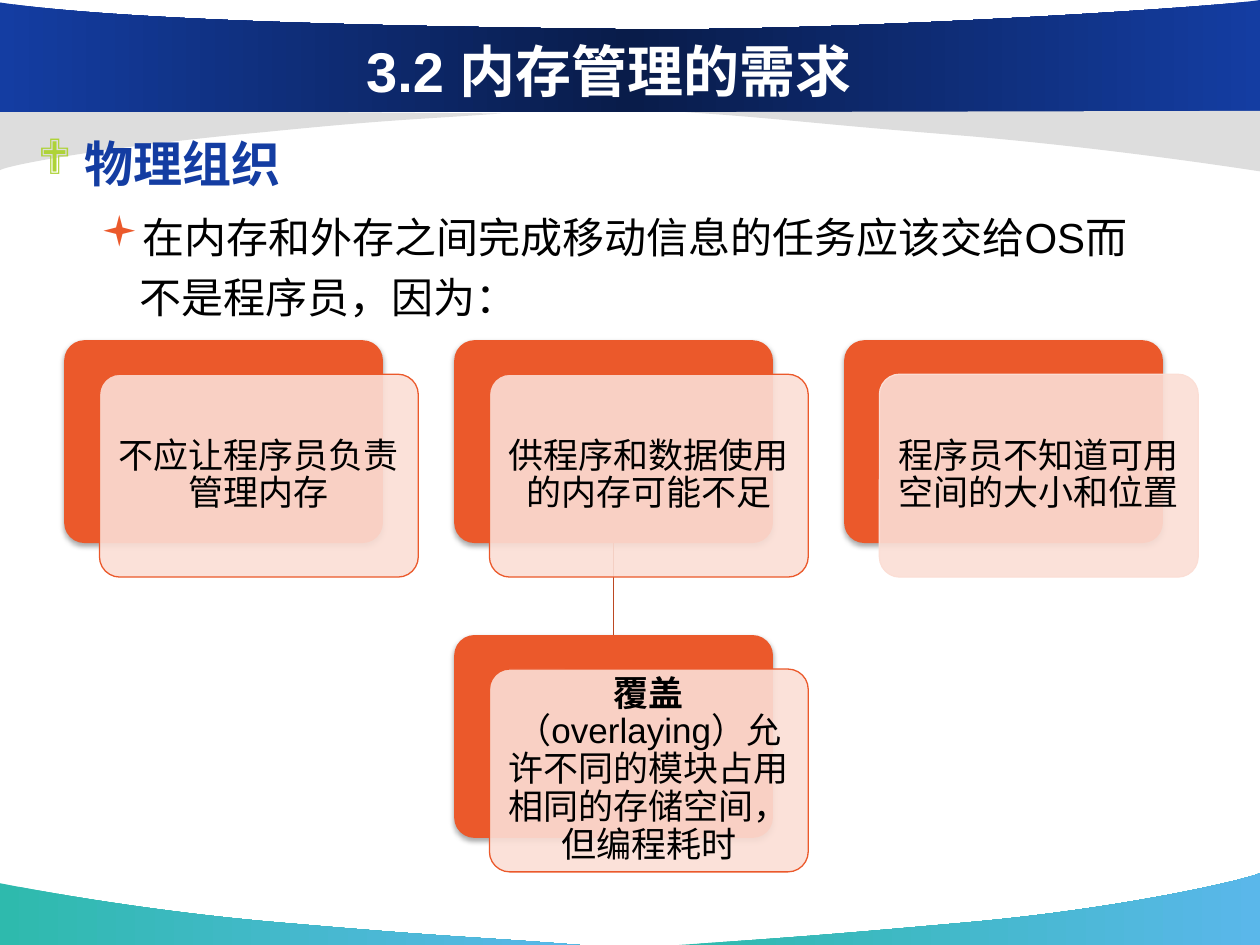
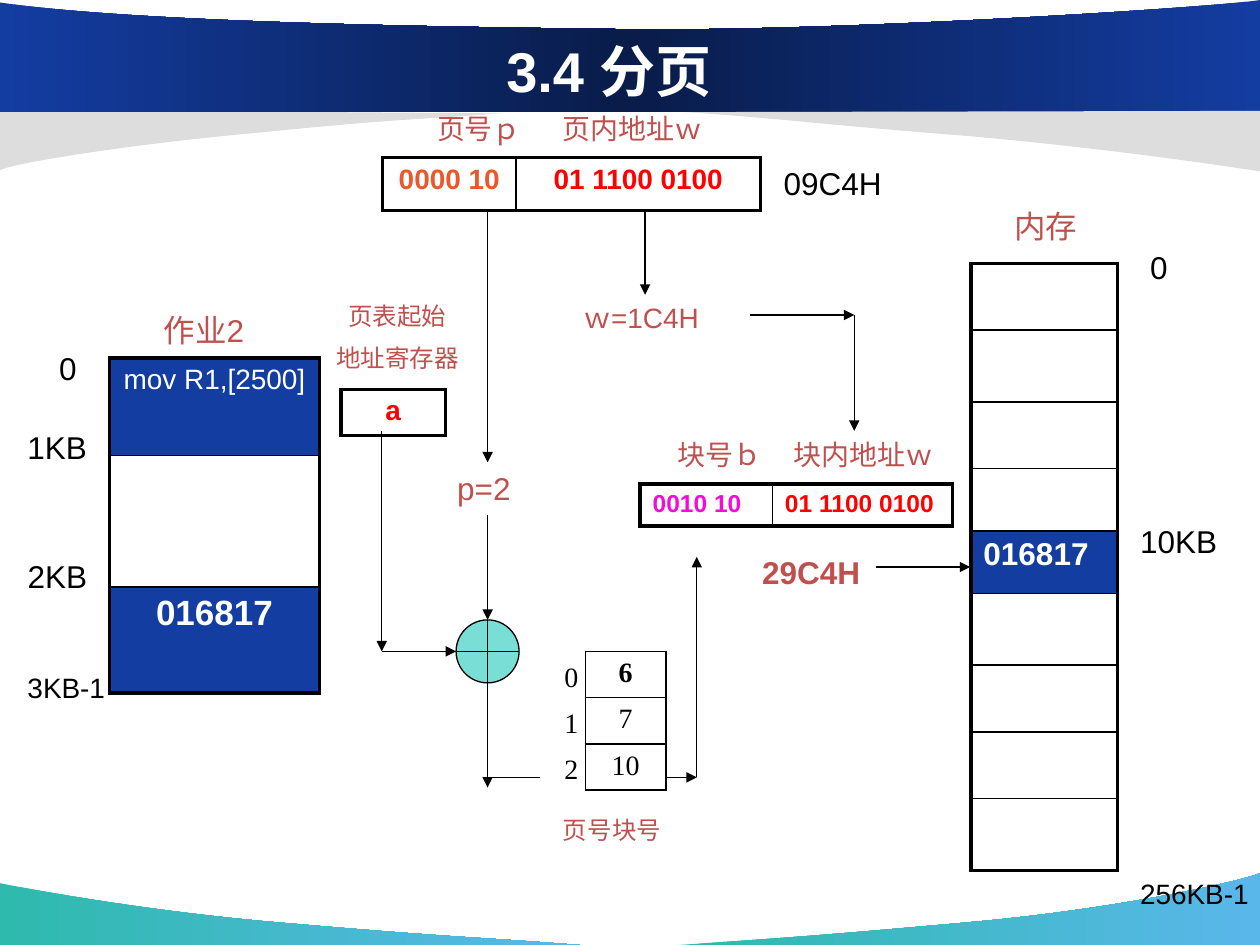
"""Build two slides on memory management: physical organisation and paging."""
import lxml.etree
import pptx
import pptx.dml.color
import pptx.enum.shapes
import pptx.enum.text
import pptx.oxml.ns
import pptx.util

WIDE, HIGH = pptx.util.Inches(10), pptx.util.Inches(7.5)
CELL = WIDE // 100
HUES = {
    "navy": "143DA2", "deep": "091C4A", "teal": "2EBAAD", "sky": "5AB7EA",
    "grey": "DDDDDD", "white": "FFFFFF", "black": "000000", "lime": "AED337",
    "fire": "EB592B", "peach": "FBDED5", "rust": "BC4722", "brick": "C0504D",
    "red": "FF0000", "pink": "F30BD7", "mint": "79DED5",
}
SHAPES = pptx.enum.shapes.MSO_SHAPE
ALIGN = pptx.enum.text.PP_ALIGN
ANCHOR = pptx.enum.text.MSO_ANCHOR
THICK, THIN = 2.25, 1

BANDS = [
    (["teal", "sky"], [(46, 75), (38.4, 74.4, 35.8, 74.4, 23.2, 73.3),
                       (10.6, 72.3, 0.1, 70.1, 0, 70.1), (0, 75)]),
    (["teal", "sky"], [(53.9, 75), (61.4, 74.5, 64.6, 74.3, 76.9, 73.2),
                       (89.2, 72.1, 99, 69.8, 100, 69.3), (100, 75)]),
    (["grey"], [(39.8, 9), (33.1, 9.5, 31.8, 9.4, 20.8, 10.5),
                (9.7, 11.5, 0.9, 13, 0, 13.5), (0, 8.7)]),
    (["navy", "deep", "navy"], [(0, 8.9), (100, 8.9), (100, 0),
                                (96.4, 0.6, 65.3, 2.6, 48.7, 2.3),
                                (32.1, 2.1, 10.1, 1.7, 0, 0.2)]),
    (["grey"], [(54.4, 8.9), (62, 9.4, 64.2, 9.8, 76.8, 10.8),
                (89.4, 11.9, 99.9, 13.6, 100, 13.6), (100, 8.8)]),
]


def grid(*units):
    """Turn grid units into slide lengths."""
    return [round(unit * CELL) for unit in units]


def rgb(hue):
    """Give the named colour."""
    return pptx.dml.color.RGBColor.from_string(HUES[hue])


def sub(node, tag, **attrs):
    """Add a drawing element under a node."""
    return lxml.etree.SubElement(node, pptx.oxml.ns.qn("a:" + tag), attrs)


def tint(node, hue, alpha=None):
    """Add a colour, perhaps a clear one, under a node."""
    clr = sub(node, "srgbClr", val=HUES[hue])
    if alpha:
        sub(clr, "alpha", val=str(alpha * 1000))


def find(shape, tag):
    """Find a drawing element in a shape's properties."""
    return shape._element.spPr.find(".//" + pptx.oxml.ns.qn("a:" + tag))


def paint(shape, hues):
    """Fill a shape with one colour or a left-to-right blend."""
    if len(hues) == 1:
        shape.fill.solid()
        shape.fill.fore_color.rgb = rgb(hues[0])
        return
    shape.fill.gradient()
    shape.fill.gradient_angle = 0
    stops = find(shape, "gsLst")
    for stop in list(stops):
        stops.remove(stop)
    for i, hue in enumerate(hues):
        tint(sub(stops, "gs", pos=str(100000 * i // (len(hues) - 1))), hue)


def outline(slide, steps):
    """Draw a closed outline of corners and cubic curves."""
    ends = [grid(*step[-2:]) for step in steps]
    pen = slide.shapes.build_freeform(*ends[0])
    pen.add_line_segments(ends[1:], close=True)
    shape = pen.convert_to_shape()
    route = find(shape, "path")
    for part, step in zip(list(route), steps):
        if len(step) == 6:
            curve = sub(route, "cubicBezTo")
            for k in (0, 2, 4):
                x, y = grid(*step[k:k + 2])
                sub(curve, "pt", x=str(x - shape.left), y=str(y - shape.top))
            route.replace(part, curve)
    return shape


def dress(slide):
    """Put the bands on the layout that the slides share."""
    layout = slide.slide_layout
    for holder in list(layout.placeholders):
        layout.shapes._spTree.remove(holder._element)
    for hues, steps in BANDS:
        band = outline(slide, steps)
        band.shadow.inherit = False
        band.line.fill.background()
        paint(band, hues)
        layout.shapes._spTree.append(band._element)


def write(para, text, size, hue, bold=False, font="Arial"):
    """Add one run to a paragraph."""
    run = para.add_run()
    run.text = text
    run.font.size, run.font.bold, run.font.name = pptx.util.Pt(size), bold, font
    run.font.color.rgb = rgb(hue)


def label(slide, col, row, width, text, size, hue="brick", bold=False, align=ALIGN.LEFT):
    """Place a caption, one paragraph a line."""
    frame = slide.shapes.add_textbox(*grid(col, row, width, 4)).text_frame
    frame.word_wrap = True
    for i, line in enumerate(text.split("\n")):
        para = frame.add_paragraph() if i else frame.paragraphs[0]
        para.alignment = align
        if i:
            para.space_before = pptx.util.Pt(size / 2)
        write(para, line, size, hue, bold)


def start(deck, title):
    """Add a slide with its title."""
    slide = deck.slides.add_slide(deck.slide_layouts[6])
    frame = slide.shapes.add_textbox(*grid(9.2, 2.5, 78.3, 6.2)).text_frame
    frame.word_wrap, frame.vertical_anchor = True, ANCHOR.MIDDLE
    frame.paragraphs[0].alignment = ALIGN.CENTER
    write(frame.paragraphs[0], title, 32, "white", True)
    return slide


def point(para, text, size, hue, mark, dot, indent, hang, bold=False):
    """Write a bulleted paragraph with a coloured mark."""
    para.line_spacing = 1.2
    para.space_before = pptx.util.Pt(size / 5)
    props = para._p.get_or_add_pPr()
    props.set("marL", str(grid(indent)[0]))
    props.set("indent", str(grid(-hang)[0]))
    tint(sub(props, "buClr"), dot)
    sub(props, "buFont", typeface="Wingdings", charset="2")
    sub(props, "buChar", char=mark)
    write(para, text, size, hue, bold)


def plate(slide, col, row):
    """Draw a rounded plate."""
    shape = slide.shapes.add_shape(SHAPES.ROUNDED_RECTANGLE, *grid(col, row, 25.3, 16.1))
    shape.adjustments[0] = 0.1
    shape.shadow.inherit = False
    return shape


def back(slide, col, row):
    """Draw the solid plate behind a card."""
    shape = plate(slide, col, row)
    paint(shape, ["fire"])
    shape.line.fill.background()
    shade = sub(find(shape, "effectLst"), "outerShdw", blurRad=str(pptx.util.Pt(3.1)),
                dist=str(pptx.util.Pt(1.8)), dir="5400000", rotWithShape="0")
    tint(shade, "black", 35)
    return shape


def front(slide, col, row, runs, rim):
    """Draw the clear plate of a card with its text."""
    shape = plate(slide, col + 2.8, row + 2.7)
    paint(shape, ["peach"])
    sub(find(shape, "srgbClr"), "alpha", val="90000")
    shape.line.color.rgb, shape.line.width = rgb(rim), pptx.util.Pt(0.75)
    frame = shape.text_frame
    frame.word_wrap, frame.vertical_anchor = True, ANCHOR.MIDDLE
    frame.margin_left = frame.margin_right = grid(0.8)[0]
    frame.margin_top = frame.margin_bottom = grid(0.8)[0]
    para = frame.paragraphs[0]
    para.alignment, para.line_spacing = ALIGN.CENTER, 0.9
    for text, bold in runs:
        write(para, text, 20, "black", bold)


def link(slide, x1, y1, x2, y2, hue="black", head=True):
    """Draw a straight line, with an arrowhead if wanted."""
    line = slide.shapes.add_connector(
        pptx.enum.shapes.MSO_CONNECTOR.STRAIGHT, *grid(x1, y1, x2, y2))
    line.line.color.rgb, line.line.width = rgb(hue), pptx.util.Pt(0.75)
    if head:
        sub(line.line._get_or_add_ln(), "tailEnd", type="triangle")
    sub(line._element.spPr, "effectLst")
    return line


def edge(cell, side, width):
    """Rule one side of a table cell."""
    line = sub(cell._tc.get_or_add_tcPr(), "ln" + side, w=str(pptx.util.Pt(width)))
    if width:
        tint(sub(line, "solidFill"), "black")
    else:
        sub(line, "noFill")


def table(slide, col, row, cols, rows, texts, size=16, outer=THICK, inner=THIN,
          align=ALIGN.CENTER, font="Arial", fill=None):
    """Draw a ruled table; texts maps (row, column) to text, colour, bold, fill, size."""
    box = grid(col, row, sum(cols), sum(rows))
    body = slide.shapes.add_table(len(rows), len(cols), *box).table
    body.first_row = body.horz_banding = False
    for j, width in enumerate(cols):
        body.columns[j].width = grid(width)[0]
    for i, height in enumerate(rows):
        body.rows[i].height = grid(height)[0]
        for j in range(len(cols)):
            cell = body.cell(i, j)
            rims = {"L": j == 0, "R": j == len(cols) - 1, "T": i == 0, "B": i == len(rows) - 1}
            for side, rim in rims.items():
                edge(cell, side, outer if rim else inner)
            text, hue, bold, shade, own = texts.get((i, j), ("", "black", False, fill, size))
            if shade:
                paint(cell, [shade])
            else:
                cell.fill.background()
            para = cell.text_frame.paragraphs[0]
            para.alignment = align
            if text:
                write(para, text, own, hue, bold, font)
            else:
                para._p.get_or_add_endParaRPr().set("sz", str(size * 100))


def needs(deck):
    """Build the slide on physical organisation."""
    slide = start(deck, "3.2 内存管理的需求")
    dress(slide)
    frame = slide.shapes.add_textbox(*grid(2, 9.2, 90, 6.3)).text_frame
    frame.word_wrap = True
    point(frame.paragraphs[0], "物理组织", 28, "navy", "❖", "lime", 3.75, 3.75, True)
    point(frame.add_paragraph(), "在内存和外存之间完成移动信息的任务应该交给OS而不是程序员，因为：",
          24, "black", "▪", "fire", 8.1, 3.1)
    cards = [
        (0, 0, [("不应让程序员负责管理内存", False)], "fire"),
        (1, 0, [("供程序和数据使用的内存可能不足", False)], "fire"),
        (1, 1, [("覆盖", True),
                ("（overlaying）允许不同的模块占用相同的存储空间，但编程耗时", False)], "fire"),
        (2, 0, [("程序员不知道可用空间的大小和位置", False)], "peach"),
    ]
    spots = [(5.1 + 30.95 * i, 27 + 23.4 * j) for i, j, _, _ in cards]
    backs = [back(slide, *spot) for spot in spots]
    stem = link(slide, 48.7, 43.1, 48.7, 50.4, "rust", False)
    stem.begin_connect(backs[1], 2)
    stem.end_connect(backs[2], 0)
    for spot, (_, _, runs, rim) in zip(spots, cards):
        front(slide, *spot, runs, rim)


def paging(deck):
    """Build the slide on address translation by pages."""
    slide = start(deck, "3.4 分页")
    table(slide, 30.35, 12.5, [10.6, 19.4], [4.2], {
        (0, 0): ("0000 10", "fire", True, None, 16),
        (0, 1): ("01 1100 0100", "red", True, None, 16)})
    table(slide, 8.7, 28.4, [16.65], [7.75, 10.45, 8.4], {
        (0, 0): ("mov R1,[2500]", "white", False, "navy", 16),
        (2, 0): ("016817", "white", True, "navy", 20)})
    table(slide, 27.05, 30.9, [8.3], [2.5], {(0, 0): ("a", "red", True, None, 16)})
    table(slide, 77.05, 20.9, [11.65], [5.3, 5.7, 5.3, 4.95, 4.95, 5.7, 5.3, 5.3, 5.7],
          {(4, 0): ("016817", "white", True, "navy", 18)}, 18, align=ALIGN.LEFT)
    table(slide, 50.8, 38.4, [10.5, 14.3], [3.3], {
        (0, 0): ("0010 10", "pink", True, None, 14),
        (0, 1): ("01 1100 0100", "red", True, None, 14)}, align=ALIGN.LEFT)

    label(slide, 25.3, 23.4, 12.5, "页表起始\n地址寄存器", 14, align=ALIGN.CENTER)
    for col, row, width, text, size in [
            (33.7, 8.4, 9.2, "页号ｐ", 16), (43.7, 8.4, 16.7, "页内地址ｗ", 16),
            (52.8, 34.2, 10.8, "块号ｂ", 16), (62, 34.2, 14.2, "块内地址ｗ", 16),
            (43.7, 64.2, 16.7, "页号块号", 14), (45.3, 23.4, 12.9, "ｗ=1C4H", 16),
            (79.5, 15.9, 8.3, "内存", 18), (35.3, 36.7, 7.5, "p=2", 18),
            (12, 24.2, 10, "作业2", 18)]:
        label(slide, col, row, width, text, size)
    label(slide, 59.5, 43.4, 10, "29C4H", 18, bold=True)
    for col, row, width, text, size in [
            (89.5, 69.1, 11.7, "256KB-1", 16), (89.5, 40.9, 9.2, "10KB", 18),
            (90.3, 19.2, 3.4, "0", 18), (3.7, 27.2, 4.2, "0", 18),
            (1.2, 33.5, 8.3, "1KB", 18), (1.2, 43.7, 9.2, "2KB", 18),
            (1.2, 52.7, 8.3, "3KB-1", 16), (61.2, 12.5, 10.8, "09C4H", 18)]:
        label(slide, col, row, width, text, size, "black")

    adder = slide.shapes.add_shape(SHAPES.FLOWCHART_OR, *grid(36.2, 49.2, 5, 5))
    adder.shadow.inherit = False
    paint(adder, ["mint"])
    adder.line.color.rgb, adder.line.width = rgb("black"), pptx.util.Pt(0.75)
    for route in [
            [(51.2, 16.7), (51.2, 23.4)], [(59.5, 25), (67.8, 25), (67.8, 34.2)],
            [(52.8, 61.7), (55.3, 61.7), (55.3, 44.2)], [(38.7, 61.7), (43.7, 61.7)],
            [(38.7, 54.2), (38.7, 62.5)], [(38.7, 16.7), (38.7, 36.7)],
            [(38.7, 40.9), (38.7, 49.2)], [(30.3, 34.2), (30.3, 51.7), (36.2, 51.7)],
            [(69.5, 45), (77, 45)]]:
        for tail, tip in zip(route, route[1:]):
            link(slide, *tail, *tip)

    serif = "Times New Roman"
    table(slide, 42.85, 48.4, [5], [3.6] * 4,
          {(i + 1, 0): (str(i), "black", False, "white", 16) for i in range(3)},
          outer=0, inner=0, font=serif, fill="white")
    table(slide, 46.45, 51.7, [6.4], [3.6] * 3,
          {(i, 0): (block, "black", i == 0, "white", 16)
           for i, block in enumerate(["6", "7", "10"])}, outer=THIN, font=serif)


def main():
    """Build and save the deck."""
    deck = pptx.Presentation()
    deck.slide_width, deck.slide_height = WIDE, HIGH
    needs(deck)
    paging(deck)
    deck.save("out.pptx")


if __name__ == "__main__":
    main()
